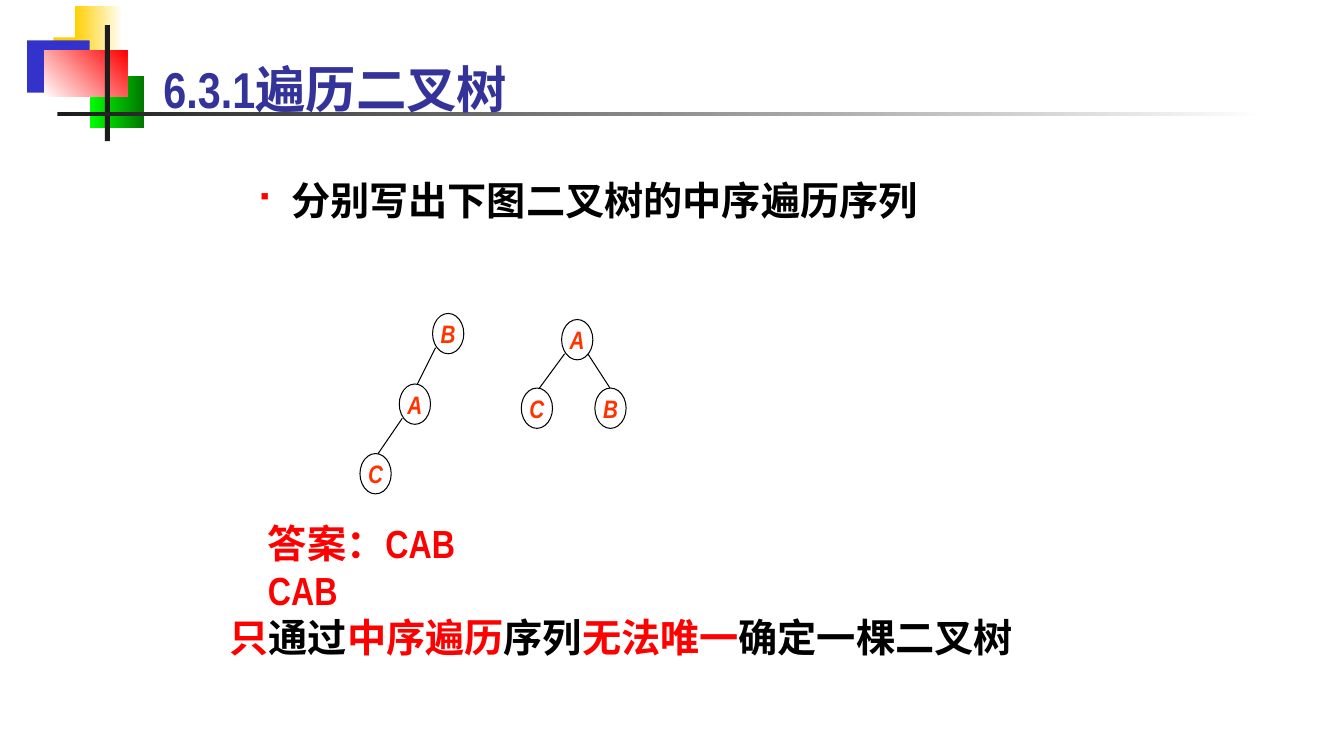
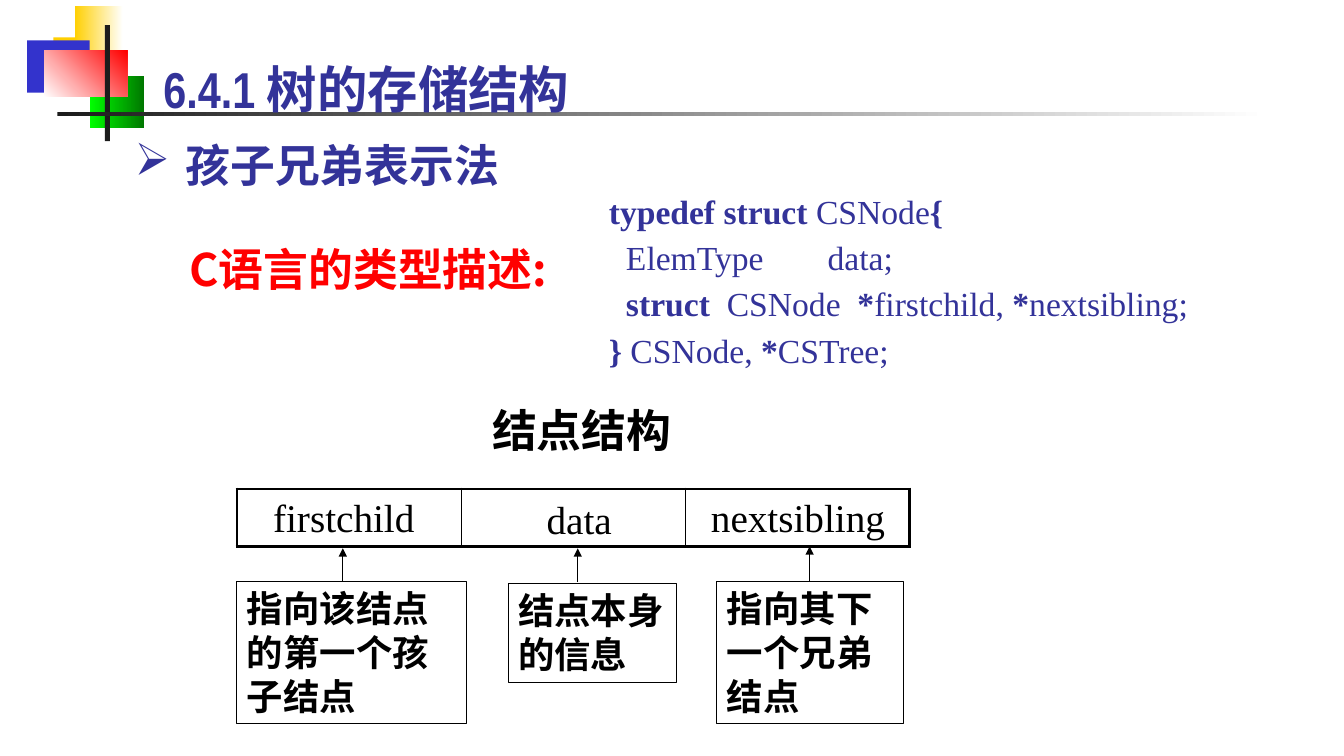
"""Build two lecture slides on binary tree traversal and tree storage."""
from dataclasses import dataclass

from lxml import etree
from pptx import Presentation
from pptx import util as u
from pptx.dml.color import RGBColor
from pptx.enum import shapes, text
from pptx.oxml import parse_xml
from pptx.oxml.ns import nsdecls, qn


@dataclass(frozen=True)
class Theme:
    """Colours, fonts and type sizes."""
    ink: str = "000000"
    white: str = "FFFFFF"
    navy: str = "333399"
    red: str = "FF0000"
    node: str = "FF3300"
    yellow: str = "FFCF01"
    blue: str = "3333CC"
    lime: str = "00FF00"
    green: str = "007700"
    bar: str = "1C1C1C"
    narrow: str = "Arial Narrow"
    cjk: str = "Noto Sans CJK SC"
    serif: str = "Times New Roman"
    symbol: str = "Wingdings"
    title: int = 36
    heading: int = 32
    body: int = 28
    note: int = 26
    code: int = 24
    label: int = 18


T = Theme()


def rgb(color):
    """Turn a hex string into a colour."""
    return RGBColor.from_string(color)


def inches(*values):
    """Turn numbers into lengths."""
    return [u.Inches(v) for v in values]


def add_run(p, words, size, color, font, bold=True, italic=False):
    """Add one formatted run."""
    r = p.add_run()
    r.text = words
    r.font.size, r.font.name = u.Pt(size), font
    r.font.bold, r.font.italic = bold, italic
    r.font.color.rgb = rgb(color)
    return r


def setup_frame(tf, anchor=text.MSO_ANCHOR.TOP):
    """Give a text frame wrapping, a fixed size and an anchor."""
    tf.word_wrap = True
    tf.auto_size = text.MSO_AUTO_SIZE.NONE
    tf.vertical_anchor = anchor
    return tf


def add_text(s, box, lines, size, color, font, align=text.PP_ALIGN.LEFT, bold=True):
    """Add a text box with one paragraph per line and return its frame."""
    tf = setup_frame(s.shapes.add_textbox(*inches(*box)).text_frame)
    for i, words in enumerate(lines):
        p = tf.add_paragraph() if i else tf.paragraphs[0]
        p.alignment = align
        add_run(p, words, size, color, font, bold)
    return tf


def add_bullet(p, char, indent, hang, color, percent=100):
    """Give a paragraph a symbol bullet with a hanging indent."""
    pPr = p._p.get_or_add_pPr()
    pPr.set("marL", str(u.Inches(indent)))
    pPr.set("indent", str(-u.Inches(hang)))
    clr = etree.SubElement(pPr, qn("a:buClr"))
    etree.SubElement(clr, qn("a:srgbClr"), val=color)
    etree.SubElement(pPr, qn("a:buSzPct"), val=str(percent * 1000))
    etree.SubElement(pPr, qn("a:buFont"), typeface=T.symbol, charset="2")
    etree.SubElement(pPr, qn("a:buChar"), char=char)


def add_block(s, box, colors, angle=0):
    """Add a borderless rectangle, plain or with a two-colour gradient."""
    sp = s.shapes.add_shape(shapes.MSO_SHAPE.RECTANGLE, *inches(*box))
    sp.shadow.inherit = False
    sp.line.fill.background()
    if len(colors) == 1:
        sp.fill.solid()
        sp.fill.fore_color.rgb = rgb(colors[0])
    else:
        sp.fill.gradient()
        sp.fill.gradient_angle = angle
        for stop, color in zip(sp.fill.gradient_stops, colors):
            stop.color.rgb = rgb(color)
    return sp


def add_master_art(prs, s):
    """Place the shared corner blocks and rules on the slide master."""
    tree = prs.slide_master.shapes.element
    blocks = [
        ((0.53, 0.37, 0.64, 0.52), [T.yellow], 0),
        ((0.74, 0.06, 0.48, 0.52), [T.yellow, T.white], 0),
        ((0.27, 0.4, 0.62, 0.52), [T.blue], 0),
        ((0.89, 0.75, 0.54, 0.52), [T.lime, T.green], 0),
        ((0.44, 0.5, 0.82, 0.46), [T.white, T.red], 45),
        ((1.04, 0.25, 0.05, 1.15), [T.bar], 0),
        ((0.57, 1.11, 12, 0.04), [T.bar, T.white], 0),
    ]
    for i, block in enumerate(blocks):
        sp = add_block(s, *block)
        sp.name = f"Corner art {i + 1}"
        sp.element.nvSpPr.cNvPr.set("id", str(100 + i))
        tree.append(sp.element)


def add_slide(prs, words):
    """Add a title-only slide with its title."""
    s = prs.slides.add_slide(prs.slide_layouts[5])
    sp = s.shapes.title
    sp.left, sp.top, sp.width, sp.height = inches(1.52, 0.53, 8.5, 0.72)
    p = setup_frame(sp.text_frame).paragraphs[0]
    p.alignment = text.PP_ALIGN.LEFT
    add_run(p, words, T.title, T.navy, T.narrow)
    return s


def add_outline(s, kind, box):
    """Add an unfilled shape with a thin black outline."""
    sp = s.shapes.add_shape(kind, *inches(*box))
    sp.shadow.inherit = False
    sp.fill.background()
    sp.line.color.rgb, sp.line.width = rgb(T.ink), u.Pt(0.75)
    return sp


def add_line(s, start, end, arrow=False):
    """Add a thin black line, with an arrowhead at its end if wanted."""
    cx = s.shapes.add_connector(shapes.MSO_CONNECTOR.STRAIGHT, *inches(*start, *end))
    cx.line.color.rgb, cx.line.width = rgb(T.ink), u.Pt(0.75)
    if arrow:
        etree.SubElement(cx.line._get_or_add_ln(), qn("a:tailEnd"), type="triangle")
    etree.SubElement(cx._element.spPr, qn("a:effectLst"))


def add_tree(s, nodes, edges):
    """Draw lettered nodes, and edges from a parent's lower side to a child's top."""
    w, h = 0.31, 0.4
    for letter, (x, y) in nodes.items():
        sp = add_outline(s, shapes.MSO_SHAPE.OVAL, (x, y, w, h))
        tf = setup_frame(sp.text_frame, text.MSO_ANCHOR.MIDDLE)
        tf.word_wrap = False
        tf.margin_left = tf.margin_right = tf.margin_top = tf.margin_bottom = 0
        p = tf.paragraphs[0]
        p.alignment = text.PP_ALIGN.CENTER
        add_run(p, letter, T.label, T.node, T.narrow, italic=True)
    for parent, child in edges:
        (px, py), (cx, cy) = nodes[parent], nodes[child]
        start, end = (0.03, 0.18) if cx < px else (0.26, 0.15)
        add_line(s, (px + start, py + 0.34), (cx + end, cy))


def add_code(s, box, lines):
    """Add code lines given as (indent, [(words, bold), ...])."""
    tf = setup_frame(s.shapes.add_textbox(*inches(*box)).text_frame)
    for i, (indent, runs) in enumerate(lines):
        p = tf.add_paragraph() if i else tf.paragraphs[0]
        p.line_spacing = 1.15
        pPr = p._p.get_or_add_pPr()
        pPr.set("marL", str(u.Inches(indent)))
        pPr.set("indent", "0")
        for words, bold in runs:
            add_run(p, words, T.code, T.navy, T.serif, bold)


def set_borders(cell, widths):
    """Set a cell's left, right, top and bottom borders in points."""
    tcPr = cell._tc.get_or_add_tcPr()
    for i, (side, width) in enumerate(zip("LRTB", widths)):
        tcPr.insert(i, parse_xml(
            f'<a:ln{side} {nsdecls("a")} w="{u.Pt(width)}"><a:solidFill>'
            f'<a:srgbClr val="{T.ink}"/></a:solidFill></a:ln{side}>'))


def add_record(s, box, count):
    """Add a one-row table of empty fields with a heavy frame."""
    table = s.shapes.add_table(1, count, *inches(*box)).table
    table.first_row = table.horz_banding = False
    for i, cell in enumerate(table.iter_cells()):
        cell.fill.background()
        set_borders(cell, (1 if i else 2.25, 1 if i < count - 1 else 2.25, 2.25, 2.25))


def add_callout(s, box, words, arrow_x, arrow_top):
    """Add a boxed note with an arrow up to the field it explains."""
    sp = add_outline(s, shapes.MSO_SHAPE.RECTANGLE, box)
    p = setup_frame(sp.text_frame).paragraphs[0]
    p.alignment = text.PP_ALIGN.LEFT
    add_run(p, words, T.note, T.ink, T.serif)
    add_line(s, (arrow_x, 5.77), (arrow_x, arrow_top), arrow=True)


def build_traversal(s):
    """Fill the in-order traversal slide."""
    tf = add_text(s, (1.98, 1.7, 8.5, 1.36), ["分别写出下图二叉树的中序遍历序列"],
                  T.body, T.ink, T.narrow)
    add_bullet(tf.paragraphs[0], "§", 0.81, 0.31, T.red, 55)
    add_tree(s, {"B": (4.29, 3.11), "A": (3.96, 3.81), "C": (3.57, 4.5)}, ["BA", "AC"])
    add_tree(s, {"A": (5.57, 3.17), "C": (5.17, 3.85), "B": (5.9, 3.85)}, ["AC", "AB"])
    add_text(s, (2.56, 5.1, 3.76, 1), ["答案：CAB", "CAB"], T.body, T.red, T.narrow)
    tf = add_text(s, (2.18, 6.04, 8.06, 0.57), [], T.body, T.ink, T.narrow)
    for words, color in [("只", T.red), ("通过", T.ink), ("中序遍历", T.red),
                         ("序列", T.ink), ("无法唯一", T.red), ("确定一棵二叉树", T.ink)]:
        add_run(tf.paragraphs[0], words, T.body, color, T.narrow)


def build_storage(s):
    """Fill the child-sibling storage slide."""
    tf = add_text(s, (1.24, 1.32, 5.15, 0.64), ["孩子兄弟表示法"], T.heading, T.navy, T.cjk)
    add_bullet(tf.paragraphs[0], "Ø", 0.5, 0.5, T.navy)
    add_text(s, (1.78, 2.35, 4.1, 0.64), ["C语言的类型描述:"], T.heading, T.red, T.cjk)
    add_code(s, (5.94, 1.78, 6.15, 1.92), [
        (0, [("typedef struct ", True), ("CSNode", False), ("{", True)]),
        (0.17, [("ElemType\t\tdata;", False)]),
        (0.17, [("struct  ", True), ("CSNode  ", False), ("*", True),
                ("firstchild, ", False), ("*", True), ("nextsibling;", False)]),
        (0, [("} ", True), ("CSNode, ", False), ("*", True), ("CSTree;", False)]),
    ])
    add_text(s, (3.41, 3.95, 4.72, 0.58), ["结点结构"], T.heading, T.ink, T.serif,
             text.PP_ALIGN.CENTER)
    add_record(s, (2.35, 4.85, 6.67, 0.57), 3)
    for name, box in [("firstchild", (2.61, 4.84, 1.6, 0.57)),
                      ("data", (5.32, 4.86, 0.85, 0.57)),
                      ("nextsibling", (6.95, 4.84, 1.93, 0.57))]:
        add_text(s, box, [name], T.body, T.ink, T.serif, text.PP_ALIGN.CENTER, bold=False)
    add_callout(s, (2.35, 5.77, 2.28, 1.41), "指向该结点的第一个孩子结点", 3.4, 5.44)
    add_callout(s, (5.04, 5.79, 1.67, 0.98), "结点本身的信息", 5.73, 5.44)
    add_callout(s, (7.11, 5.77, 1.85, 1.41), "指向其下一个兄弟结点", 8.03, 5.42)


def main():
    """Build and save the presentation."""
    prs = Presentation()
    prs.slide_width, prs.slide_height = inches(13.33, 7.5)
    s = add_slide(prs, "6.3.1遍历二叉树")
    add_master_art(prs, s)
    build_traversal(s)
    build_storage(add_slide(prs, "6.4.1 树的存储结构"))
    prs.save("out.pptx")


if __name__ == "__main__":
    main()
